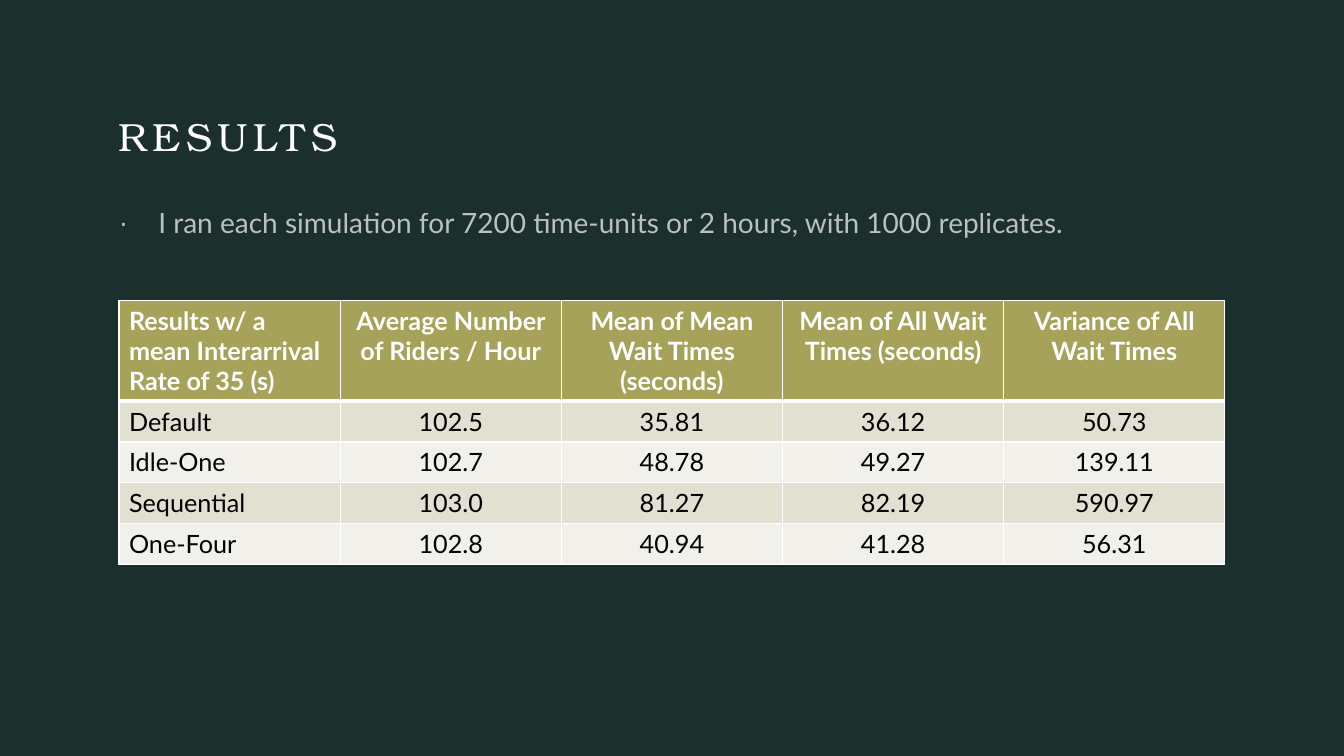
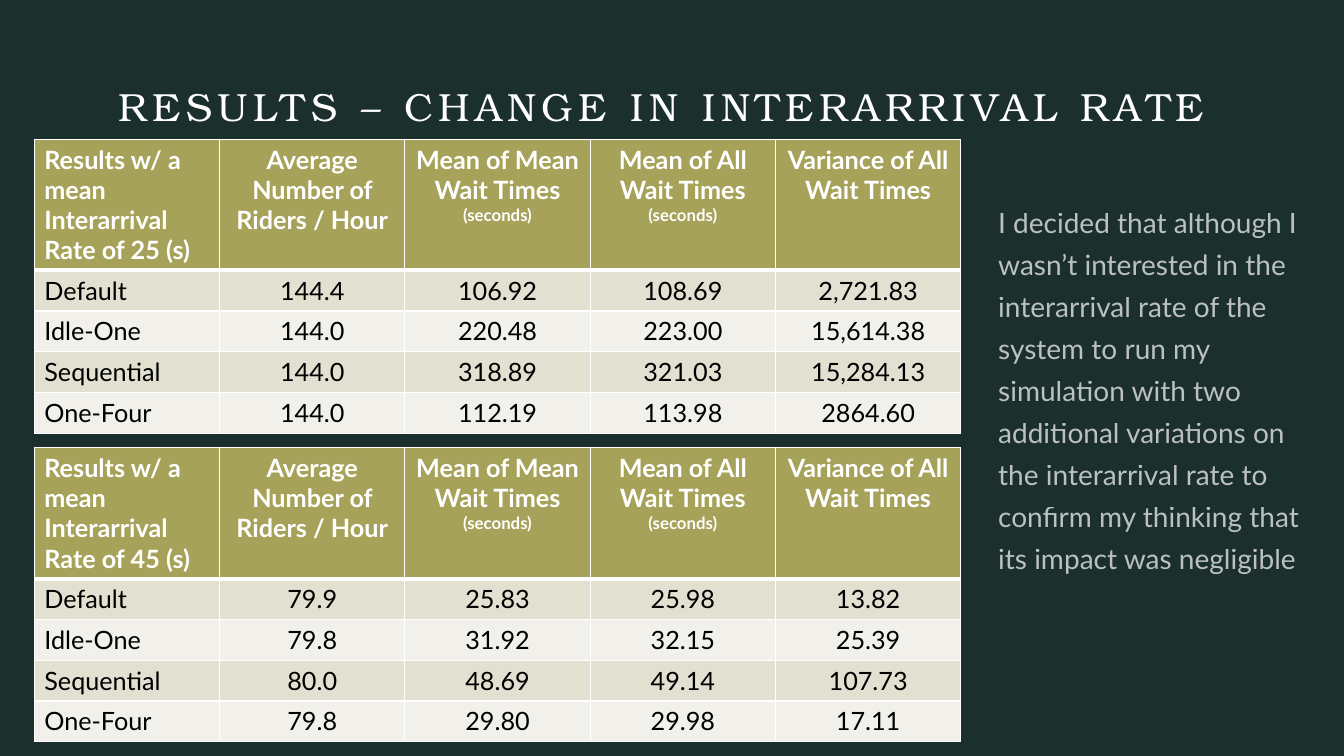
from lxml.etree import SubElement as Sub
from pptx import Presentation
from pptx.dml.color import RGBColor as RGB
from pptx.enum.text import MSO_ANCHOR as Anchor, MSO_AUTO_SIZE as Fit, PP_ALIGN as Align
from pptx.oxml.ns import qn
from pptx.util import Inches, Pt

# Shared style
BACK, WHITE, BLACK = "1B2F2C", "FFFFFF", "000000"
HEAD, BANDS, DOT = "A7A259", ("E1E0D1", "F1F0EA"), "CAC79B"
SERIF, SANS = "TeX Gyre Bonum", "Lato"
ROWS = Inches(1.62)  # height of the four data rows together
NAMES = ("Default", "Idle-One", "Sequential", "One-Four")
UNIT = "(seconds)"

# Table values
RATE_35 = [("102.5", "35.81", "36.12", "50.73"),
           ("102.7", "48.78", "49.27", "139.11"),
           ("103.0", "81.27", "82.19", "590.97"),
           ("102.8", "40.94", "41.28", "56.31")]
RATE_25 = [("144.4", "106.92", "108.69", "2,721.83"),
           ("144.0", "220.48", "223.00", "15,614.38"),
           ("144.0", "318.89", "321.03", "15,284.13"),
           ("144.0", "112.19", "113.98", "2864.60")]
RATE_45 = [("79.9", "25.83", "25.98", "13.82"),
           ("79.8", "31.92", "32.15", "25.39"),
           ("80.0", "48.69", "49.14", "107.73"),
           ("79.8", "29.80", "29.98", "17.11")]


def color(code):
    return RGB.from_string(code)


def style(para, size, face, code, bold=False):
    font = para.font
    font.size, font.name, font.bold = Pt(size), face, bold
    font.color.rgb = color(code)
    return para._p.pPr.find(qn("a:defRPr"))


def place(shape, left, top, width, height):
    shape.left, shape.top = Inches(left), Inches(top)
    shape.width, shape.height = Inches(width), Inches(height)


def fill_frame(shape, text):
    """Put text into a frame without margins and return its paragraph."""
    frame = shape.text_frame
    frame.text = text
    frame.word_wrap, frame.auto_size = True, Fit.NONE
    frame.vertical_anchor = Anchor.TOP
    frame.margin_left = frame.margin_right = 0
    frame.margin_top = frame.margin_bottom = 0
    para = frame.paragraphs[0]
    para.alignment = Align.LEFT
    return para


def add_title(slide, text, top):
    title = slide.shapes.title
    place(title, 1.18, top, 10.97, 0.72)
    props = style(fill_frame(title, text), 28, SERIF, WHITE)
    props.set("spc", "400")


def add_dot(para):
    props = para._p.get_or_add_pPr()
    props.set("marL", str(Inches(0.39)))
    props.set("indent", str(-Inches(0.39)))
    Sub(Sub(props, qn("a:buClr")), qn("a:srgbClr"), val=DOT)
    Sub(props, qn("a:buChar"), char="\u00b7")


def set_body(shape, text, dot=False):
    para = fill_frame(shape, text)
    para.line_spacing, para.space_before = 1.25, Pt(10)
    if dot:
        add_dot(para)
    props = style(para, 20, SANS, WHITE)
    Sub(props.find(".//" + qn("a:srgbClr")), qn("a:alpha"), val="70000")


def add_edges(cell, base):
    props = cell._tc.get_or_add_tcPr()
    for side, width in zip("LRTB", (1, 1, 1, base)):
        line = Sub(props, qn("a:ln" + side), w=str(Pt(width)))
        Sub(Sub(line, qn("a:solidFill")), qn("a:srgbClr"), val=WHITE)


def set_cell(cell, text, row, col, small):
    head = row == 0
    add_edges(cell, 3 if head else 1)
    cell.fill.solid()
    cell.fill.fore_color.rgb = color(HEAD if head else BANDS[(row - 1) % 2])
    para = cell.text_frame.paragraphs[0]
    para.alignment = Align.CENTER if col else Align.LEFT
    style(para, 18, SANS, WHITE if head else BLACK, head)
    if small and text.endswith(UNIT):
        para.add_run().text = text.removesuffix(UNIT)
        unit = para.add_run()
        unit.text, unit.font.size = UNIT, Pt(12)
    else:
        para.add_run().text = text


def add_grid(slide, rate, data, left, top, width, height, small=False):
    heads = (f"Results w/ a mean Interarrival Rate of {rate} (s)",
             "Average Number of Riders / Hour",
             f"Mean of Mean Wait Times {UNIT}",
             f"Mean of All Wait Times {UNIT}",
             "Variance of All Wait Times")
    lines = [heads] + [(name, *vals) for name, vals in zip(NAMES, data)]
    table = slide.shapes.add_table(
        len(lines), len(heads), Inches(left), Inches(top),
        Inches(width), Inches(height)).table
    for row, line in enumerate(lines):
        table.rows[row].height = ROWS // 4 if row else Inches(height) - ROWS
        for col, text in enumerate(line):
            set_cell(table.cell(row, col), text, row, col, small)


def main():
    prs = Presentation()
    prs.slide_width, prs.slide_height = Inches(13.33), Inches(7.5)
    back = prs.slide_master.background.fill
    back.solid()
    back.fore_color.rgb = color(BACK)

    # Main results
    slide = prs.slides.add_slide(prs.slide_layouts[1])
    add_title(slide, "RESULTS", 1.11)
    body = slide.placeholders[1]
    place(body, 1.18, 1.96, 10.97, 4.35)
    set_body(body, "I ran each simulation for 7200 time-units or 2 hours, "
             "with 1000 replicates.", dot=True)
    add_grid(slide, 35, RATE_35, 1.18, 2.98, 10.97, 2.62)

    # Other interarrival rates
    slide = prs.slides.add_slide(prs.slide_layouts[5])
    add_title(slide, "RESULTS \u2013 CHANGE IN INTERARRIVAL RATE", 0.82)
    for rate, data, top in ((25, RATE_25, 1.38), (45, RATE_45, 4.44)):
        add_grid(slide, rate, data, 0.34, top, 9.19, 2.92, small=True)
    note = slide.shapes.add_textbox(
        Inches(9.9), Inches(1.96), Inches(3.21), Inches(4.35))
    set_body(note, "I decided that although I wasn\u2019t interested in the "
             "interarrival rate of the system to run my simulation with two "
             "additional variations on the interarrival rate to confirm my "
             "thinking that its impact was negligible")

    prs.save("out.pptx")


main()
